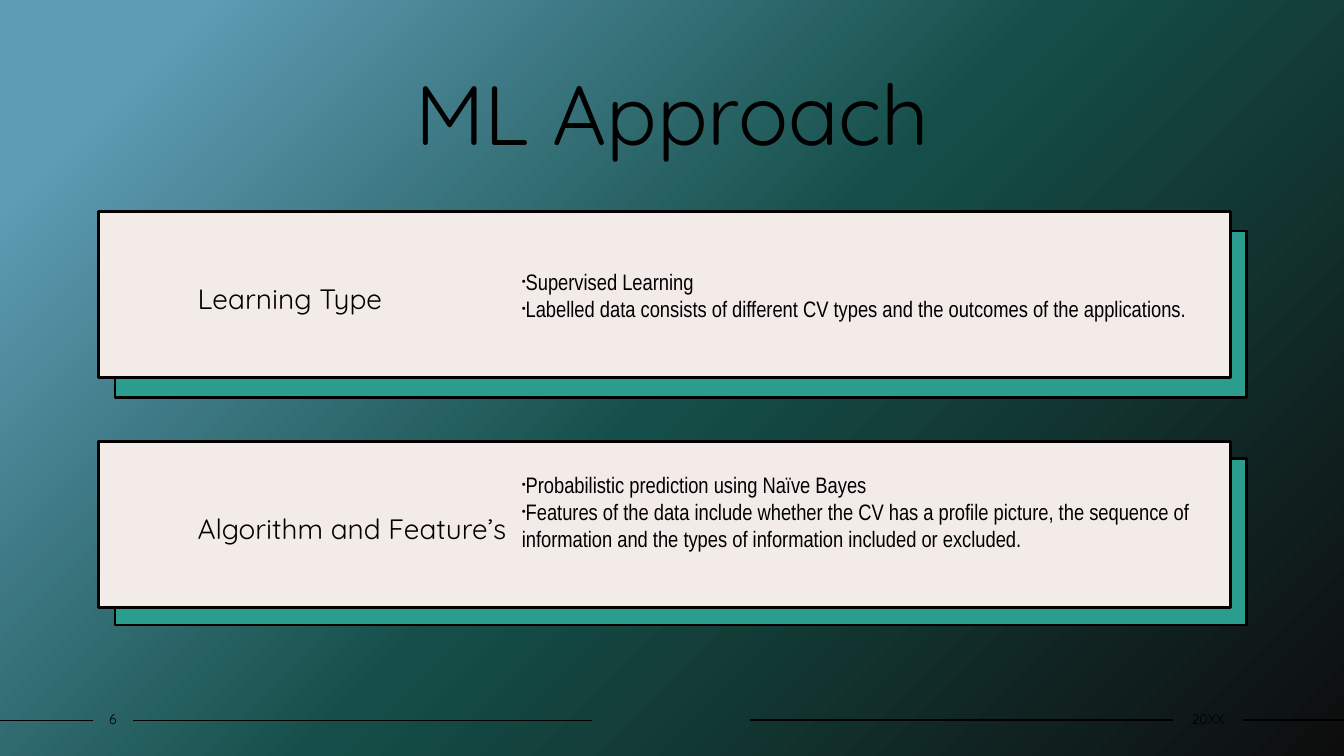
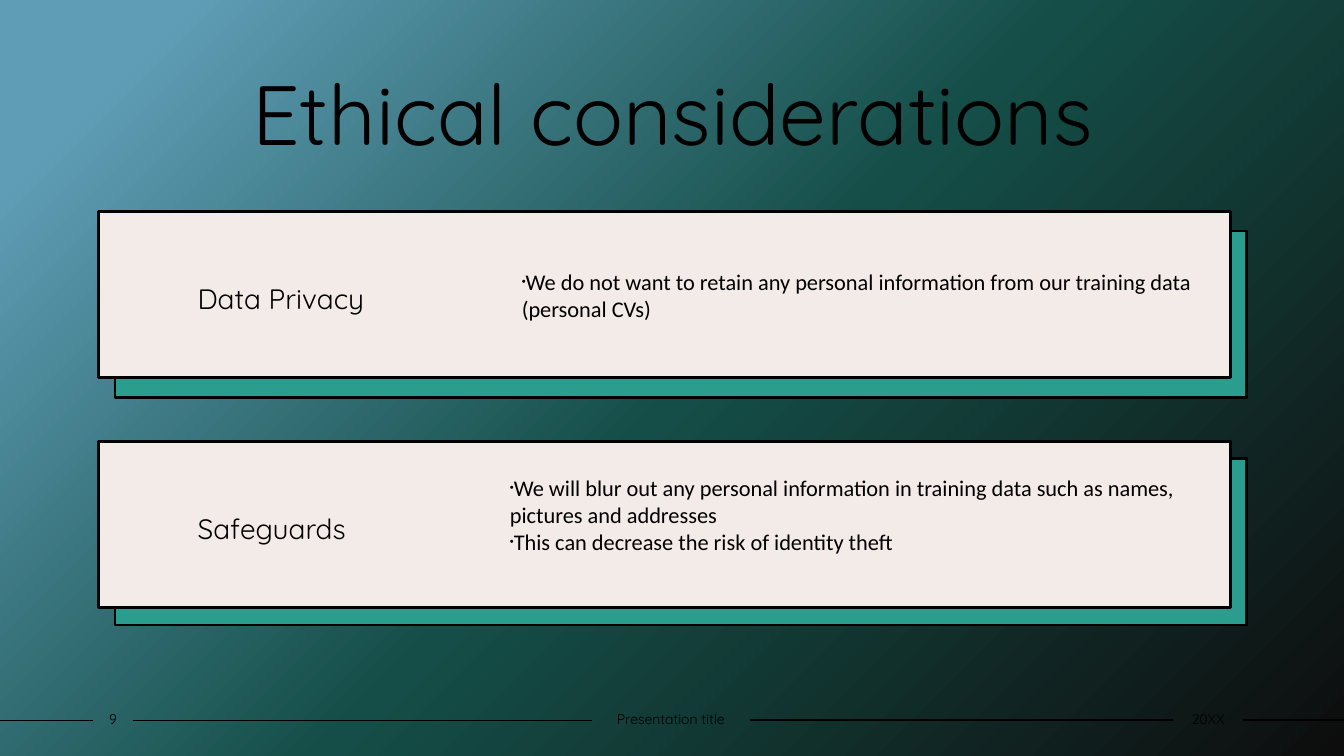
from copy import deepcopy

from pptx import Presentation
from pptx.dml.color import RGBColor
from pptx.enum.shapes import MSO_CONNECTOR, MSO_SHAPE
from pptx.enum.text import MSO_ANCHOR, PP_ALIGN
from pptx.oxml.ns import qn
from pptx.util import Cm, Pt

RECTANGLE = MSO_SHAPE.RECTANGLE
STRAIGHT = MSO_CONNECTOR.STRAIGHT
TOP, MIDDLE = MSO_ANCHOR.TOP, MSO_ANCHOR.MIDDLE
LEFT, CENTER = PP_ALIGN.LEFT, PP_ALIGN.CENTER

BLACK = RGBColor(0x00, 0x00, 0x00)
TEAL = RGBColor(0x2A, 0x9D, 0x8F)
CREAM = RGBColor(0xF3, 0xEB, 0xE8)
SKY = RGBColor(0x5F, 0x9D, 0xB6)
PINE = RGBColor(0x15, 0x4E, 0x48)
NIGHT = RGBColor(0x0D, 0x0D, 0x0D)

GRADIENT = [(0.09, SKY), (0.51, PINE), (1, NIGHT)]
PANEL_SIZE = (28.52, 4.19)
PANEL_LEFT, PANEL_TOPS = 2.49, (5.33, 11.13)
BAND_LEFT, BAND_TOPS = 2.9, (5.82, 11.56)
BODY_SIZE = (17.81, 3.68)
FOOTER_TOP, FOOTER_HEIGHT = 17.78, 0.69
FOOTER_RULES = [(0, 2.34, 18.16), (3.35, 14.91, 18.16),
                (18.9, 29.57, 18.14), (31.32, 33.87, 18.14)]

TITLE_FONT = {"name": "Quicksand", "size": Pt(60)}
HEADING_FONT = {"name": "Quicksand", "size": Pt(20)}
FOOTER_FONT = {"name": "Quicksand", "size": Pt(10)}
TITLE_FRAME = {"vertical_anchor": TOP}
HEADING_FRAME = {"vertical_anchor": MIDDLE, "margin_left": Cm(2.49), "margin_right": Cm(18.03)}
BODY_FRAME = {"vertical_anchor": MIDDLE}
FOOTER_FRAME = {"vertical_anchor": MIDDLE, "margin_left": 0, "margin_right": 0}
CENTERED = {"alignment": CENTER}
HEADING_PARAGRAPH = {"alignment": LEFT, "line_spacing": 1.2}
BODY_PARAGRAPH = {"alignment": LEFT}

SLIDES = [
    {
        "title": "ML Approach",
        "footers": ["6", "", "20XX"],
        "body_font": "Arial Narrow",
        "panels": [
            ("Learning Type", (12.9, 5.59), [
                "Supervised Learning",
                "Labelled data consists of different CV types and the outcomes of the applications.",
            ]),
            ("Algorithm and Feature’s", (12.9, 11.05), [
                "Probabilistic prediction using Naïve Bayes",
                "Features of the data include whether the CV has a profile picture, the sequence of "
                "information and the types of information included or excluded.",
            ]),
        ],
    },
    {
        "title": "Ethical considerations",
        "footers": ["9", "Presentation title", "20XX"],
        "body_font": "Calibri",
        "panels": [
            ("Data Privacy", (12.9, 5.59), [
                "We do not want to retain any personal information from our training data (personal CVs)",
            ]),
            ("Safeguards", (12.6, 11.13), [
                "We will blur out any personal information in training data such as names, "
                "pictures and addresses",
                "This can decrease the risk of identity theft",
            ]),
        ],
    },
]


def add_panel(slide, left, top, color):
    shape = slide.shapes.add_shape(RECTANGLE, Cm(left), Cm(top), *map(Cm, PANEL_SIZE))
    shape.shadow.inherit = False
    shape.fill.solid()
    shape.fill.fore_color.rgb = color
    shape.line.color.rgb = BLACK
    shape.line.width = Pt(2)
    return shape


def write_text(shape, lines, font_format, frame_format, paragraph_format, bulleted=False):
    frame = shape.text_frame
    frame.word_wrap = True
    frame.text = "\n".join(lines)
    for name, value in frame_format.items():
        setattr(frame, name, value)
    for paragraph in frame.paragraphs:
        for name, value in paragraph_format.items():
            setattr(paragraph, name, value)
        font = paragraph.runs[0].font
        for name, value in font_format.items():
            setattr(font, name, value)
        font.color.rgb = BLACK
        if bulleted:
            properties = paragraph._p.get_or_add_pPr()
            properties.set("marL", "0")
            properties.set("indent", str(-Cm(0.38)))
            for tag, name, value in [("a:buSzPct", "val", "50000"),
                                     ("a:buFont", "typeface", "Arial"),
                                     ("a:buChar", "char", "•")]:
                properties.makeelement(qn(tag), {})
                bullet = properties.makeelement(qn(tag), {name: value})
                properties.append(bullet)


presentation = Presentation()
presentation.slide_width = Cm(33.87)
presentation.slide_height = Cm(19.05)

master = presentation.slide_master
background = master.background.fill
background.gradient()
background.gradient_angle = 315
stop_list = master.element.find(".//" + qn("a:gsLst"))
stop_list.append(deepcopy(stop_list[0]))
for stop, (position, color) in zip(background.gradient_stops, GRADIENT):
    stop.position = position
    stop.color.rgb = color

for content in SLIDES:
    slide = presentation.slides.add_slide(presentation.slide_layouts[6])

    for start, end, height in FOOTER_RULES:
        rule = slide.shapes.add_connector(STRAIGHT, Cm(start), Cm(height), Cm(end), Cm(height))
        rule.line.color.rgb = BLACK
        rule.line.width = Pt(1)
        properties = rule._element.spPr
        properties.append(properties.makeelement(qn("a:effectLst"), {}))

    for top in BAND_TOPS:
        add_panel(slide, BAND_LEFT, top, TEAL)

    title = slide.shapes.add_textbox(Cm(3.18), Cm(1.42), Cm(27.53), Cm(2.82))
    write_text(title, [content["title"]], TITLE_FONT, TITLE_FRAME, CENTERED)

    body_font = {"name": content["body_font"], "size": Pt(16)}
    for top, (heading, position, lines) in zip(PANEL_TOPS, content["panels"]):
        panel = add_panel(slide, PANEL_LEFT, top, CREAM)
        write_text(panel, [heading], HEADING_FONT, HEADING_FRAME, HEADING_PARAGRAPH)
        body = slide.shapes.add_textbox(*map(Cm, position + BODY_SIZE))
        write_text(body, lines, body_font, BODY_FRAME, BODY_PARAGRAPH, bulleted=True)

    for text, before, after in zip(content["footers"], FOOTER_RULES, FOOTER_RULES[1:]):
        if text:
            left, right = before[1], after[0]
            footer = slide.shapes.add_textbox(Cm(left), Cm(FOOTER_TOP), Cm(right - left), Cm(FOOTER_HEIGHT))
            write_text(footer, [text], FOOTER_FONT, FOOTER_FRAME, CENTERED)

presentation.save("out.pptx")
